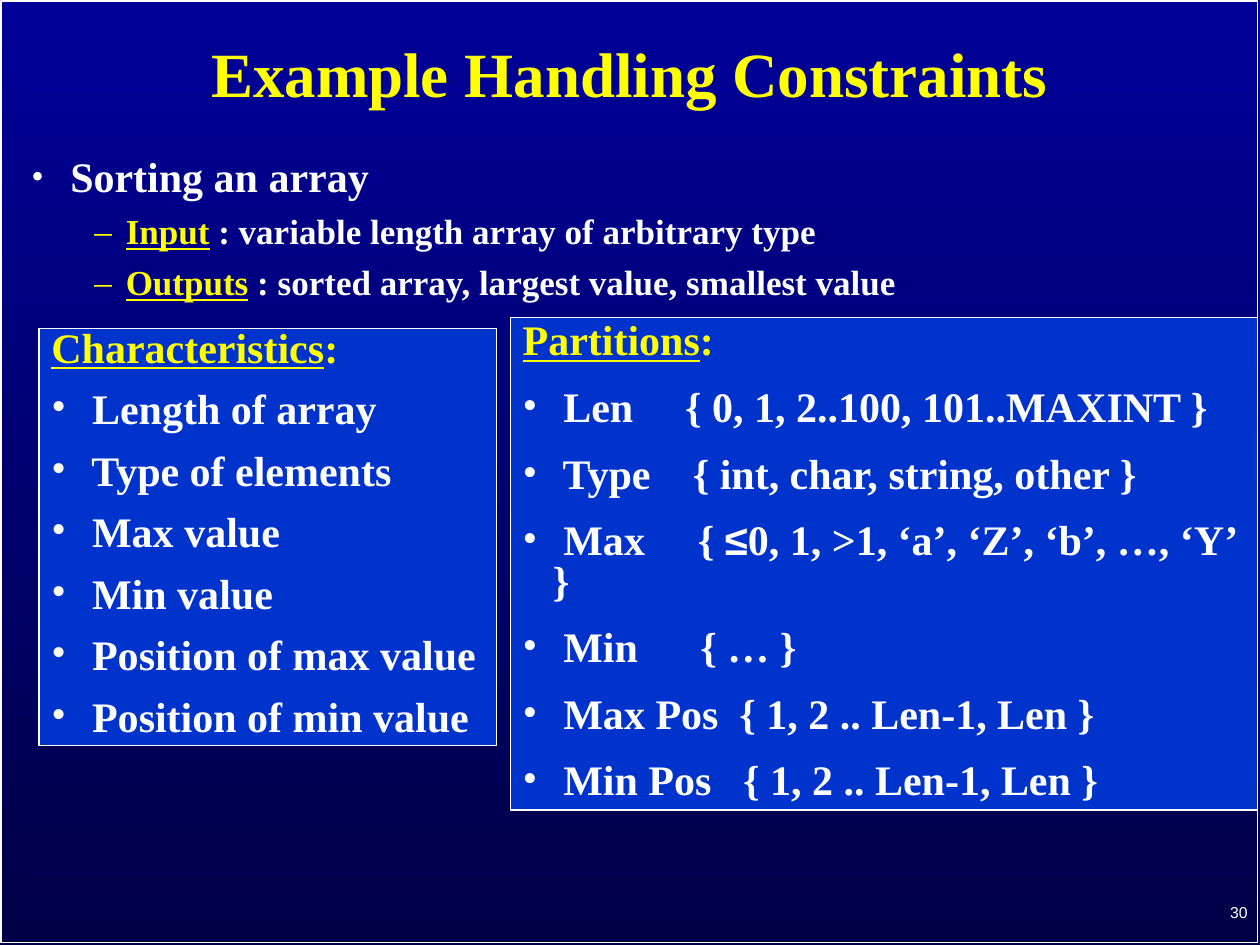
from dataclasses import dataclass
from typing import Optional

from lxml.etree import SubElement
from pptx import Presentation
from pptx.dml.color import RGBColor
from pptx.enum.shapes import MSO_SHAPE
from pptx.enum.text import MSO_ANCHOR, PP_ALIGN
from pptx.oxml.ns import qn
from pptx.util import Inches, Pt

COLORS = {
    "white": "FFFFFF",
    "yellow": "FFFF00",
    "panel": "0033CC",
    "top": "000099",
    "bottom": "000047",
}
SERIF = "Times New Roman"
SANS = "Arial"


@dataclass(frozen=True)
class Span:
    text: str
    color: str = "white"
    font: str = SERIF
    underline: bool = False


@dataclass(frozen=True)
class Bullet:
    char: str
    margin: float
    hanging: float
    color: str = "white"
    percent: int = 100
    level: int = 0


@dataclass(frozen=True)
class Panel:
    heading: str
    left: float
    top: float
    width: float
    height: float
    spacing: float
    rows: list


@dataclass(frozen=True)
class Row:
    spans: list
    tab: Optional[float] = None


def rgb(name):
    return RGBColor.from_string(COLORS[name])


def add_bullet(para, bullet: Bullet):
    para.level = bullet.level
    properties = para._p.get_or_add_pPr()
    properties.set("marL", str(Inches(bullet.margin)))
    properties.set("indent", str(-Inches(bullet.hanging)))
    color = SubElement(properties, qn("a:buClr"))
    SubElement(color, qn("a:srgbClr"), val=COLORS[bullet.color])
    SubElement(properties, qn("a:buSzPct"), val=str(bullet.percent * 1000))
    SubElement(properties, qn("a:buFont"), typeface=SERIF)
    SubElement(properties, qn("a:buChar"), char=bullet.char)


def add_tab(para, position: float):
    tabs = SubElement(para._p.get_or_add_pPr(), qn("a:tabLst"))
    SubElement(tabs, qn("a:tab"), pos=str(Inches(position)), algn="l")


def write(frame, spans, *, size, bold=True, align=PP_ALIGN.LEFT, spacing=0.9,
          before=0, bullet=None, tab=None):
    first = not frame.paragraphs[0].runs
    para = frame.paragraphs[0] if first else frame.add_paragraph()
    if bullet:
        add_bullet(para, bullet)
    if tab:
        add_tab(para, tab)
    para.alignment = align
    para.line_spacing = spacing
    para.space_before = Pt(0 if first else before)
    for span in spans:
        run = para.add_run()
        run.text = span.text
        run.font.name = span.font
        run.font.size = Pt(size)
        run.font.bold = bold
        run.font.underline = span.underline
        run.font.color.rgb = rgb(span.color)


def add_box(page, left: float, top: float, width: float, height: float,
            anchor=MSO_ANCHOR.TOP):
    box = page.shapes.add_textbox(
        Inches(left), Inches(top), Inches(width), Inches(height))
    box.text_frame.word_wrap = True
    box.text_frame.vertical_anchor = anchor
    return box.text_frame


def add_rectangle(page, left: float, top: float, width: float, height: float,
                  line: float, fill: Optional[str] = None):
    shape = page.shapes.add_shape(
        MSO_SHAPE.RECTANGLE,
        Inches(left), Inches(top), Inches(width), Inches(height))
    shape.shadow.inherit = False
    if fill:
        shape.fill.solid()
        shape.fill.fore_color.rgb = rgb(fill)
    else:
        shape.fill.background()
    shape.line.color.rgb = rgb("white")
    shape.line.width = Pt(line)
    return shape.text_frame


def add_panel(page, panel: Panel):
    frame = add_rectangle(page, panel.left, panel.top, panel.width,
                          panel.height, 0.75, "panel")
    frame.word_wrap = True
    frame.vertical_anchor = MSO_ANCHOR.TOP
    heading = [Span(panel.heading, "yellow", underline=True), Span(":", "yellow")]
    write(frame, heading, size=24, spacing=panel.spacing)
    bullet = Bullet("•", 0.24, 0.24)
    for row in panel.rows:
        write(frame, row.spans, size=24, spacing=panel.spacing, before=15,
              bullet=bullet, tab=row.tab)


def paint_background(page):
    fill = page.background.fill
    fill.gradient()
    fill.gradient_angle = 270
    for stop, name in zip(fill.gradient_stops, ("top", "bottom")):
        stop.color.rgb = rgb(name)


CHARACTERISTICS = Panel(
    "Characteristics", 0.31, 2.61, 3.63, 3.31, 0.7,
    [Row([Span(" " + text)]) for text in (
        "Length of array", "Type of elements", "Max value", "Min value",
        "Position of max value", "Position of min value")])

PARTITIONS = Panel(
    "Partitions", 4.05, 2.52, 5.93, 3.91, 0.8,
    [
        Row([Span(" Len\t{ 0, 1, 2..100, 101..MAXINT }")], 1.29),
        Row([Span(" Type\t{ int, char, string, other }")], 1.35),
        Row([Span(" Max\t{ "), Span("≤", font=SANS),
             Span("0, 1, >1, ‘a’, ‘Z’, ‘b’, …, ‘Y’ }")], 1.39),
        Row([Span(" Min\t{ … }")], 1.41),
        Row([Span(" Max Pos\t{ 1, 2 .. Len-1, Len }")], 1.72),
        Row([Span(" Min Pos\t{ 1, 2 .. Len-1, Len }")], 1.75),
    ])


def main():
    deck = Presentation()
    deck.slide_width, deck.slide_height = Inches(10), Inches(7.5)
    page = deck.slides.add_slide(deck.slide_layouts[6])
    paint_background(page)
    add_rectangle(page, 0.01, 0.01, 9.97, 7.47, 1)

    number = add_box(page, 7.92, 7.04, 2.08, 0.4, MSO_ANCHOR.MIDDLE)
    write(number, [Span("30", font=SANS)], size=9, bold=False,
          align=PP_ALIGN.RIGHT, spacing=1.0)

    title = add_box(page, 0.15, 0.11, 9.69, 1, MSO_ANCHOR.MIDDLE)
    write(title, [Span("Example Handling Constraints", "yellow")], size=36,
          align=PP_ALIGN.CENTER)

    body = add_box(page, 0.15, 1.19, 9.7, 1.43)
    write(body, [Span("Sorting an array")], size=24,
          bullet=Bullet("•", 0.31, 0.31, percent=85))
    dash = Bullet("–", 0.75, 0.25, "yellow", level=1)
    for term, meaning in (
            ("Input", "variable length array of arbitrary type"),
            ("Outputs", "sorted array, largest value, smallest value")):
        spans = [Span(term, "yellow", underline=True), Span(f" : {meaning}")]
        write(body, spans, size=20, before=7.5, bullet=dash)

    for panel in (CHARACTERISTICS, PARTITIONS):
        add_panel(page, panel)
    deck.save("out.pptx")


if __name__ == "__main__":
    main()
